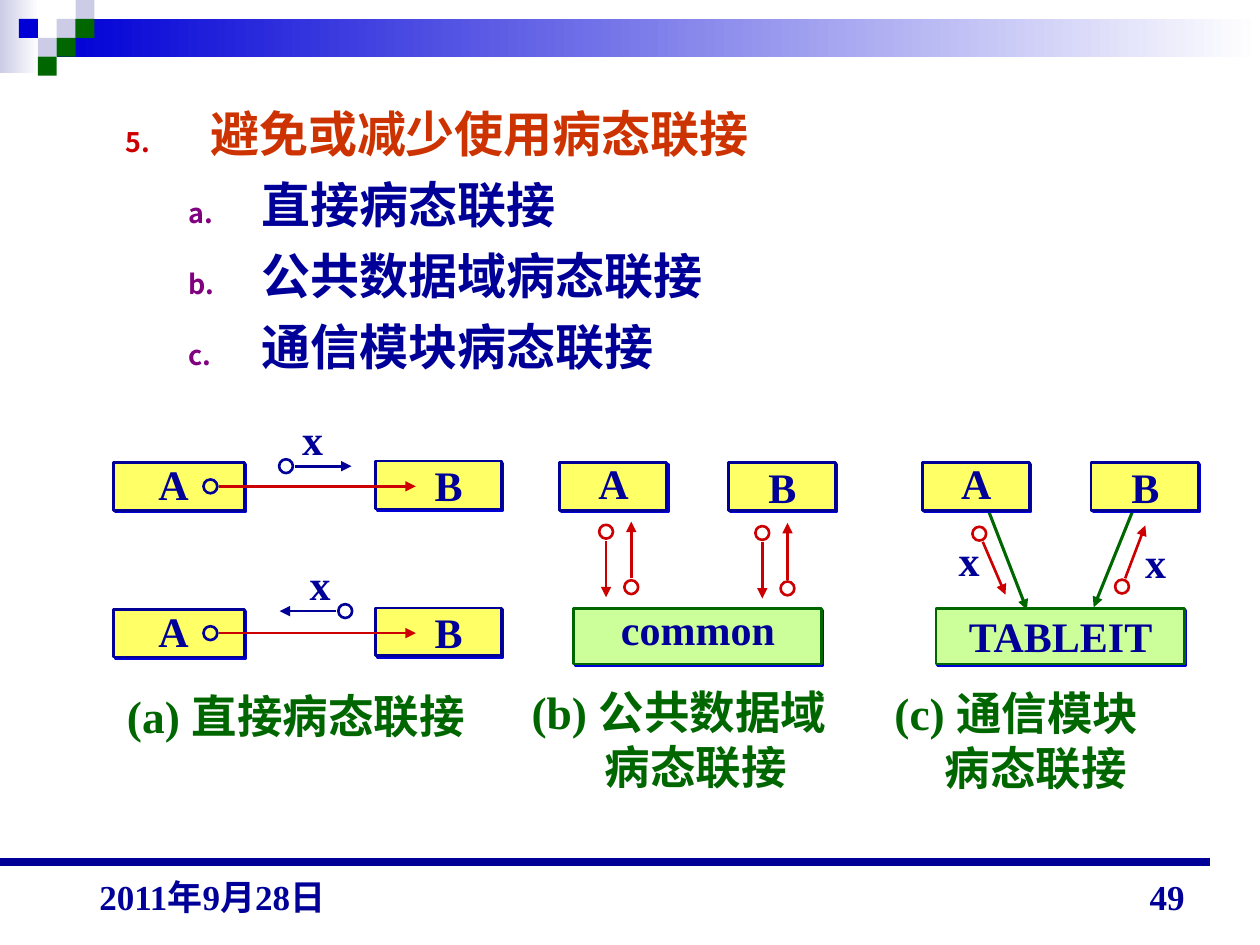
from math import hypot

from lxml.etree import SubElement
from pptx import Presentation
from pptx.dml.color import RGBColor
from pptx.enum.shapes import MSO_CONNECTOR, MSO_SHAPE
from pptx.enum.text import MSO_ANCHOR, MSO_AUTO_SIZE, PP_ALIGN
from pptx.oxml.ns import qn
from pptx.util import Inches, Pt

NAVY, BLUE, LAVENDER = "000099", "0000D6", "CCCCE6"
RED, GREEN, WHITE = "CC0000", "006600", "FFFFFF"
YELLOW, LIME = "FFFF66", "CCFF99"
SERIF = "Times New Roman"


def rgb(color):
    """Turn a hex string into a colour."""
    return RGBColor.from_string(color)


def add_block(slide, left, top, width, height, fill=None, outline=None,
              kind=MSO_SHAPE.RECTANGLE):
    """Add a flat preset shape with an optional fill and outline."""
    block = slide.shapes.add_shape(
        kind, Inches(left), Inches(top), Inches(width), Inches(height))
    block.shadow.inherit = False
    if fill:
        block.fill.solid()
        block.fill.fore_color.rgb = rgb(fill)
    else:
        block.fill.background()
    if outline:
        block.line.color.rgb = rgb(outline)
        block.line.width = Pt(1.5)
    else:
        block.line.fill.background()
    return block


def add_fade(slide, left, top, width, height, color):
    """Add a bar that fades from a colour on the left to white."""
    bar = add_block(slide, left, top, width, height, color)
    bar.fill.gradient()
    bar.fill.gradient_angle = 0
    for stop, shade in zip(bar.fill.gradient_stops, (color, WHITE)):
        stop.color.rgb = rgb(shade)


def add_line(slide, start, end, color, width=1.5, arrow=True):
    """Add a straight line, with an arrowhead at its end if asked."""
    line = slide.shapes.add_connector(
        MSO_CONNECTOR.STRAIGHT, *(Inches(value) for value in (*start, *end)))
    line.line.color.rgb = rgb(color)
    line.line.width = Pt(width)
    properties = line._element.spPr
    if arrow:
        SubElement(properties.find(qn("a:ln")), qn("a:tailEnd"), type="triangle")
    SubElement(properties, qn("a:effectLst"))


def add_flow(slide, start, end, color, ring_color=None):
    """Add an arrow with a small ring just behind its start."""
    across, down = end[0] - start[0], end[1] - start[1]
    length = hypot(across, down)
    left = start[0] - 0.07 * across / length - 0.055
    top = start[1] - 0.07 * down / length - 0.055
    add_block(slide, left, top, 0.11, 0.11, outline=ring_color or color,
              kind=MSO_SHAPE.OVAL)
    add_line(slide, start, end, color)


def add_run(paragraph, words, size, color, font=SERIF):
    """Append a bold run to a paragraph."""
    run = paragraph.add_run()
    run.text = words
    run.font.size = Pt(size)
    run.font.bold = True
    run.font.name = font
    run.font.color.rgb = rgb(color)


def add_label(slide, left, top, width, words, height=0.5):
    """Add a one-line navy label."""
    add_caption(slide, left, top, width, height, [(words, 0)], 24, NAVY)


def add_caption(slide, left, top, width, height, lines, size=26, color=GREEN):
    """Add unwrapped lines of text, each with its own left margin."""
    caption = slide.shapes.add_textbox(
        Inches(left), Inches(top), Inches(width), Inches(height)).text_frame
    caption.word_wrap = False
    caption.auto_size = MSO_AUTO_SIZE.SHAPE_TO_FIT_TEXT
    for index, (words, margin) in enumerate(lines):
        paragraph = caption.add_paragraph() if index else caption.paragraphs[0]
        if margin:
            paragraph._p.get_or_add_pPr().set("marL", str(Inches(margin)))
        add_run(paragraph, words, size, color)


def add_module(slide, left, top, width, height=0.38, fill=YELLOW, outline=NAVY):
    """Add a module box with a hard blue shadow."""
    module = add_block(slide, left, top, width, height, fill, outline)
    effects = module._element.spPr.find(qn("a:effectLst"))
    shadow = SubElement(effects, qn("a:outerShdw"), dist=str(Pt(1.4)),
                        dir="2700000", algn="ctr", rotWithShape="0")
    SubElement(shadow, qn("a:srgbClr"), val=BLUE)


def add_item(paragraph, runs, color, level, margin, hang, bullet_color, numbering):
    """Fill a numbered outline item."""
    properties = paragraph._p.get_or_add_pPr()
    properties.set("marL", str(Inches(margin)))
    properties.set("indent", str(-Inches(hang)))
    bullet = SubElement(properties, qn("a:buClr"))
    SubElement(bullet, qn("a:srgbClr"), val=bullet_color)
    SubElement(properties, qn("a:buSzPct"), val="55000")
    SubElement(properties, qn("a:buAutoNum"), **numbering)
    paragraph.level = level
    paragraph.line_spacing = 1.05
    for words, font in runs:
        add_run(paragraph, words, 28, color, font)


def add_outline(slide):
    """Add the numbered heading and its three lettered points."""
    outline = slide.shapes.add_textbox(
        Inches(0.9), Inches(0.75), Inches(8.21), Inches(2.44)).text_frame
    outline.word_wrap = True
    add_item(outline.paragraphs[0], [("避免或减少使用病态联接", SERIF)], "CC3300",
             0, 0.67, 0.67, RED, {"type": "arabicPeriod", "startAt": "5"})
    points = [[("直接病态联接", SERIF)], [("公共数据域病态联接", SERIF)],
              [("通信", SERIF), ("模块病态联接", "Arial")]]
    for runs in points:
        point = outline.add_paragraph()
        add_item(point, runs, NAVY, 1, 1.08, 0.58, "800080",
                 {"type": "alphaLcPeriod"})
        point.space_before = Pt(5.2)


def add_decoration(slide):
    """Add the fading bars, the corner squares and the footer rule."""
    add_fade(slide, 0, 0, 0.31, 0.58, LAVENDER)
    add_fade(slide, 0.45, 0.15, 9.55, 0.3, BLUE)
    squares = [(3, 1, LAVENDER), (4, 0, LAVENDER), (4, 1, GREEN), (2, 2, LAVENDER),
               (1, 1, BLUE), (3, 2, GREEN), (2, 3, GREEN)]
    for column, row, color in squares:
        add_block(slide, column * 0.15, row * 0.15, 0.15, 0.15, color)
    add_line(slide, (0, 6.84), (9.6, 6.84), NAVY, 4.5, arrow=False)


def add_direct(slide):
    """Draw the two direct connections."""
    for drop in (0, 1.165):
        add_module(slide, 0.9, 3.67 + drop, 1.04)
        add_label(slide, 1.16, 3.59 + drop, 0.44, "A")
        add_module(slide, 2.98, 3.66 + drop, 1)
        add_label(slide, 3.35, 3.6 + drop, 0.42, "B")
        add_flow(slide, (1.74, 3.86 + drop), (3.3, 3.86 + drop), RED, NAVY)
    add_flow(slide, (2.34, 3.7), (2.79, 3.7), NAVY)
    add_flow(slide, (2.67, 4.85), (2.22, 4.85), NAVY)


def add_shared(slide):
    """Draw the common data area and the communication module."""
    add_line(slide, (7.84, 4.04), (8.15, 4.84), GREEN, 1.75)
    add_line(slide, (9, 4.03), (8.68, 4.82), GREEN, 1.75)
    for shift in (0, 2.88):
        add_module(slide, 4.44 + shift, 3.67, 0.85)
        add_label(slide, 4.65 + shift, 3.58, 0.44, "A")
        add_module(slide, 5.78 + shift, 3.67, 0.85)
        add_label(slide, 6 + shift, 3.61, 0.42, "B")
        add_module(slide, 4.55 + shift, 4.83, 1.97, 0.44, LIME, GREEN)
    add_label(slide, 4.83, 4.74, 1.42, "common")
    add_label(slide, 7.59, 4.8, 1.68, "TABLEIT")
    for left, top in ((4.81, 4.29), (6.05, 4.3)):
        add_flow(slide, (left, top), (left, top + 0.45), RED)
        add_flow(slide, (left + 0.2, top + 0.3), (left + 0.2, top - 0.15), RED)
    add_flow(slide, (7.8, 4.3), (7.98, 4.72), RED)
    add_flow(slide, (8.93, 4.59), (9.09, 4.17), RED)


def add_footer(slide, left, top, words, align):
    """Add a bottom-anchored footer text."""
    footer = slide.shapes.add_textbox(
        Inches(left), Inches(top), Inches(2.33), Inches(0.5)).text_frame
    footer.word_wrap = True
    footer.vertical_anchor = MSO_ANCHOR.BOTTOM
    footer.paragraphs[0].alignment = align
    add_run(footer.paragraphs[0], words, 20, NAVY)


def main():
    """Build and save the slide."""
    deck = Presentation()
    deck.slide_width, deck.slide_height = Inches(10), Inches(7.5)
    slide = deck.slides.add_slide(deck.slide_layouts[6])
    add_decoration(slide)
    add_outline(slide)
    add_shared(slide)
    add_direct(slide)
    for left, top in ((2.3, 3.23), (2.36, 4.38), (7.51, 4.19), (8.99, 4.21)):
        add_label(slide, left, top, 0.36, "x")
    add_caption(slide, 0.91, 5.41, 2.97, 0.54, [("(a) 直接病态联接", 0)])
    add_caption(slide, 4.12, 5.38, 2.91, 0.97,
                [("(b) 公共数据域", 0), ("病态联接", 0.58)])
    add_caption(slide, 7, 5.39, 2.55, 0.97,
                [("(c) 通信模块", 0), ("病态联接", 0.4)])
    add_footer(slide, 7.17, 6.83, "49", PP_ALIGN.RIGHT)
    add_footer(slide, 0.69, 6.83, "2011年9月28日", PP_ALIGN.LEFT)
    deck.save("out.pptx")


if __name__ == "__main__":
    main()
